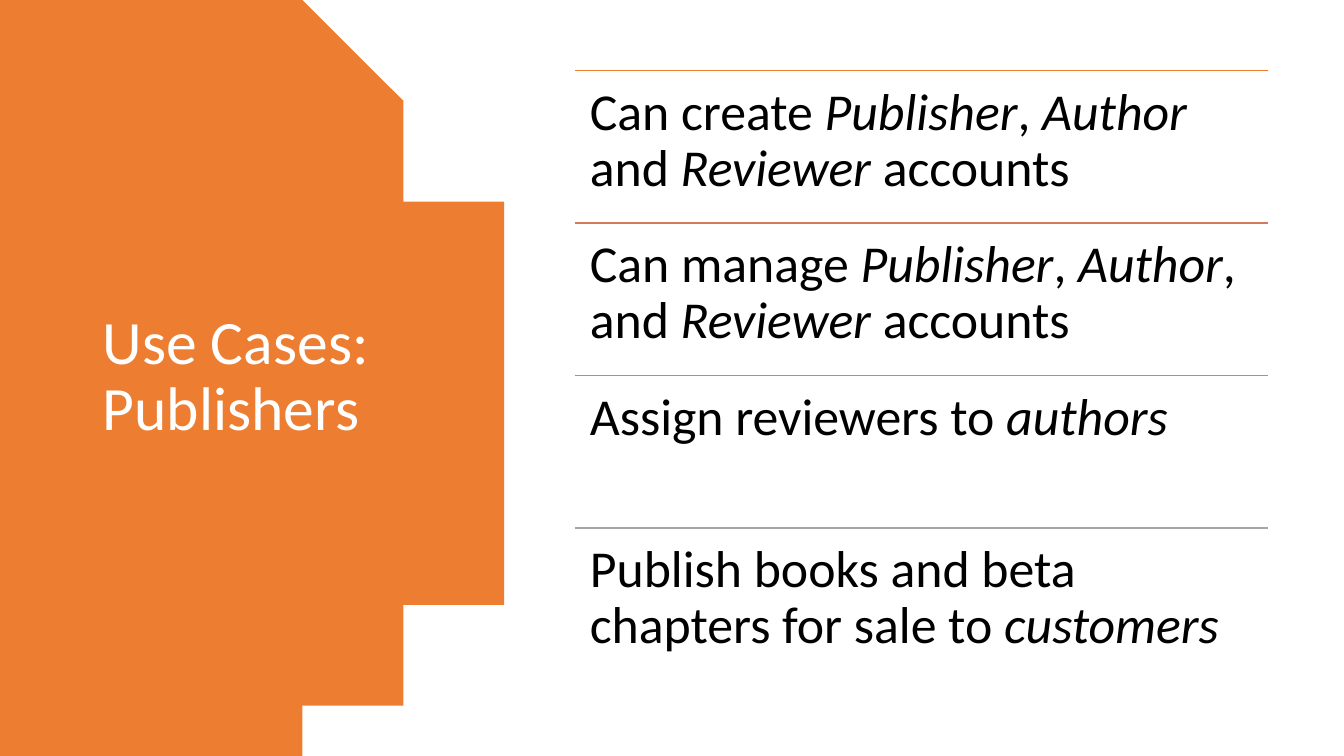
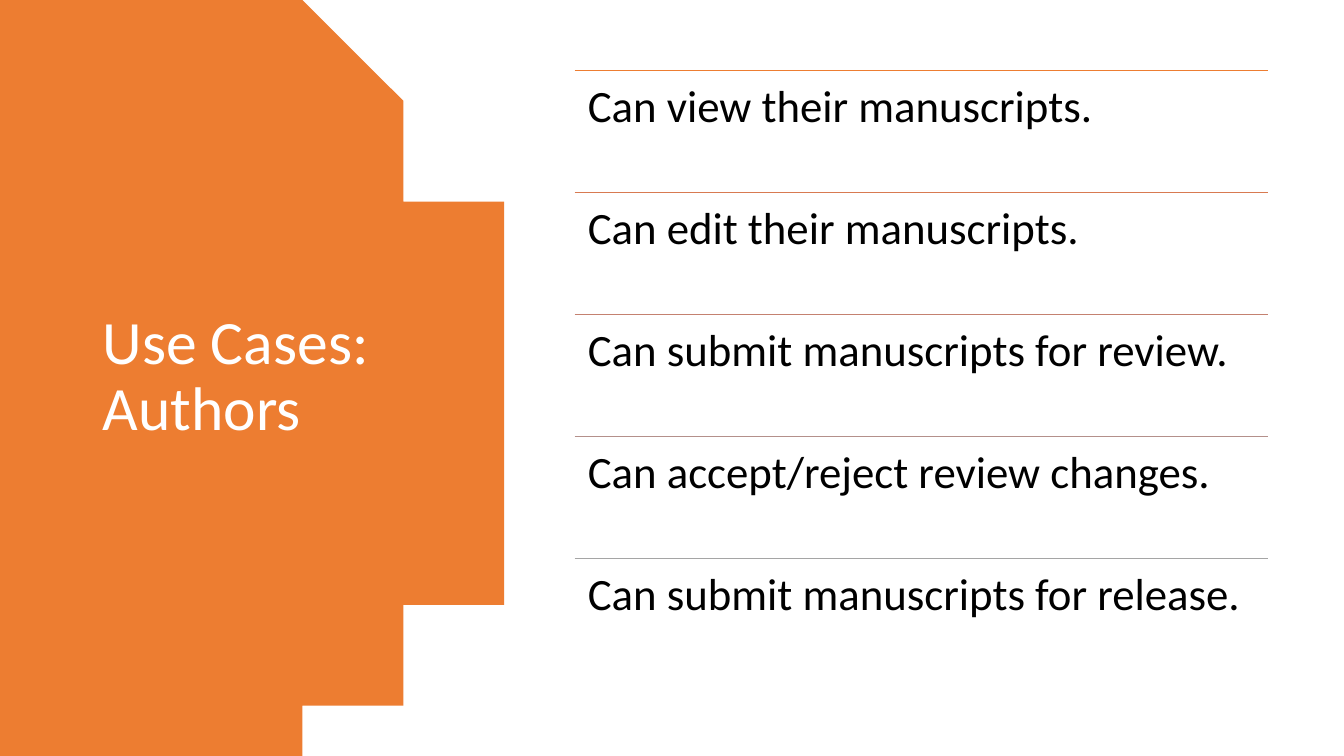
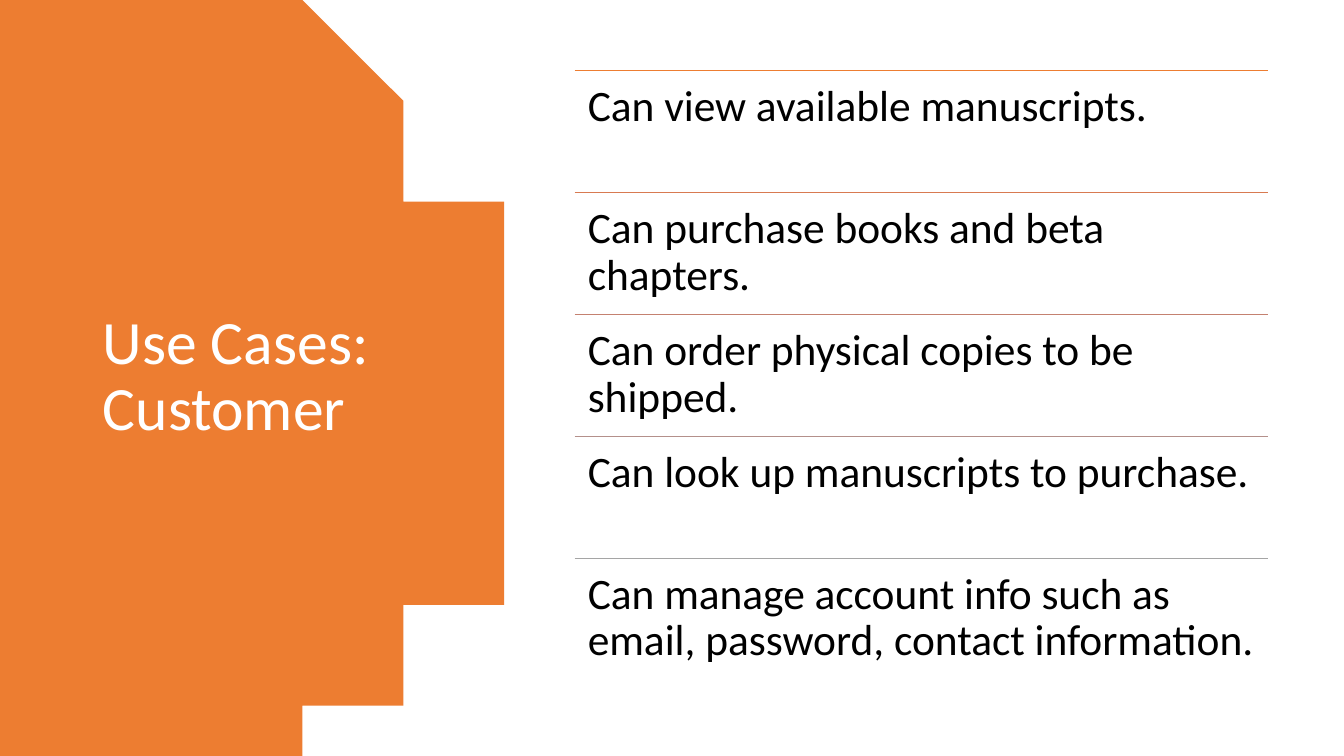
from math import asin, cos, sin

from lxml import etree
from pptx import Presentation
from pptx.dml.color import RGBColor
from pptx.enum.shapes import MSO_CONNECTOR
from pptx.enum.text import MSO_ANCHOR, MSO_AUTO_SIZE, PP_ALIGN
from pptx.oxml.ns import qn
from pptx.util import Inches, Pt

STRAIGHT = MSO_CONNECTOR.STRAIGHT
TOP, MIDDLE = MSO_ANCHOR.TOP, MSO_ANCHOR.MIDDLE
LEFT = PP_ALIGN.LEFT
NO_FIT = MSO_AUTO_SIZE.NONE

# Content: text between asterisks is italic
SLIDES = [
    {"title": "Use Cases: Publishers", "size": 37, "inset": 0.15, "items": [
        "Can create *Publisher*, *Author* and *Reviewer* accounts",
        "Can manage *Publisher*, *Author*, and *Reviewer* accounts",
        "Assign reviewers to *authors*",
        "Publish books and beta chapters for sale to *customers*"]},
    {"title": "Use Cases: Authors", "size": 32, "inset": 0.13, "items": [
        "Can view their manuscripts.",
        "Can edit their manuscripts.",
        "Can submit manuscripts for review.",
        "Can accept/reject review changes.",
        "Can submit manuscripts for release."]},
    {"title": "Use Cases: Customer", "size": 31, "inset": 0.13, "items": [
        "Can view available manuscripts.",
        "Can purchase books and beta chapters.",
        "Can order physical copies to be shipped.",
        "Can look up manuscripts to purchase.",
        "Can manage account info such as email, password, contact information."]},
]

# Shared style
FONT = "Calibri"
COLORS = {"panel": "ED7D31", "title": "FFFFFF", "text": "000000"}
RULES = {  # rule colours by number of rows
    4: ["ED7D31", "D17B5C", "B98A82", "A5A5A5"],
    5: ["ED7D31", "D87A51", "C48170", "B4908B", "A5A5A5"],
}

# Layout in inches
W, H = 13.33, 7.5
TITLE_BOX = (0.92, 0.7, 3.23, 6.09)
LIST_X, LIST_Y, LIST_W, LIST_H = 5.7, 0.7, 6.88, 6.05
PANEL_RIGHT, RADIUS, ARC_STEPS = 4.93, 4.4, 90


def rgb(hex_string):
    return RGBColor.from_string(hex_string)


def write(shape, text, size, color, anchor=TOP, inset=None):
    tf = shape.text_frame
    tf.word_wrap = True
    tf.auto_size = NO_FIT
    tf.vertical_anchor = anchor
    if inset is not None:
        tf.margin_left = tf.margin_right = Inches(inset)
        tf.margin_top = tf.margin_bottom = Inches(inset)
    p = tf.paragraphs[0]
    p.alignment = LEFT
    p.line_spacing = 0.9
    for i, part in enumerate(text.split("*")):
        if part:
            r = p.add_run()
            r.text = part
            r.font.name, r.font.size = FONT, Pt(size)
            r.font.italic = i % 2 == 1
            r.font.color.rgb = rgb(color)


def add_panel(s):
    """Left panel bounded by a circular arc, placed behind the title."""
    half = asin(H / 2 / RADIUS)
    angles = [half * (2 * i / ARC_STEPS - 1) for i in range(ARC_STEPS + 1)]
    arc = [(PANEL_RIGHT - RADIUS + RADIUS * cos(a), H / 2 + RADIUS * sin(a))
           for a in angles]
    builder = s.shapes.build_freeform(0, 0, scale=Inches(1))
    builder.add_line_segments(arc + [(0, H)], close=True)
    panel = builder.convert_to_shape()
    panel.shadow.inherit = False
    panel.fill.solid()
    panel.fill.fore_color.rgb = rgb(COLORS["panel"])
    panel.line.fill.background()
    s.shapes.title._element.addprevious(panel._element)


def add_rule(s, y, color):
    y = Inches(y)
    rule = s.shapes.add_connector(STRAIGHT, Inches(LIST_X), y,
                                  Inches(LIST_X + LIST_W), y)
    rule.line.color.rgb = rgb(color)
    rule.line.width = Pt(1)
    etree.SubElement(rule._element.spPr, qn("a:effectLst"))


def add_title(s, text):
    title = s.shapes.title
    title.left, title.top, title.width, title.height = map(Inches, TITLE_BOX)
    write(title, text, 44, COLORS["title"], anchor=MIDDLE)


def add_list(s, items, size, inset):
    row_h = LIST_H / len(items)
    for i, (item, color) in enumerate(zip(items, RULES[len(items)])):
        y = LIST_Y + i * row_h
        add_rule(s, y, color)
        box = s.shapes.add_textbox(*map(Inches, (LIST_X, y, LIST_W, row_h)))
        write(box, item, size, COLORS["text"], inset=inset)


def main():
    prs = Presentation()
    prs.slide_width, prs.slide_height = Inches(W), Inches(H)
    title_only = prs.slide_layouts[5]
    for content in SLIDES:
        s = prs.slides.add_slide(title_only)
        add_panel(s)
        add_title(s, content["title"])
        add_list(s, content["items"], content["size"], content["inset"])
    prs.save("out.pptx")


if __name__ == "__main__":
    main()
